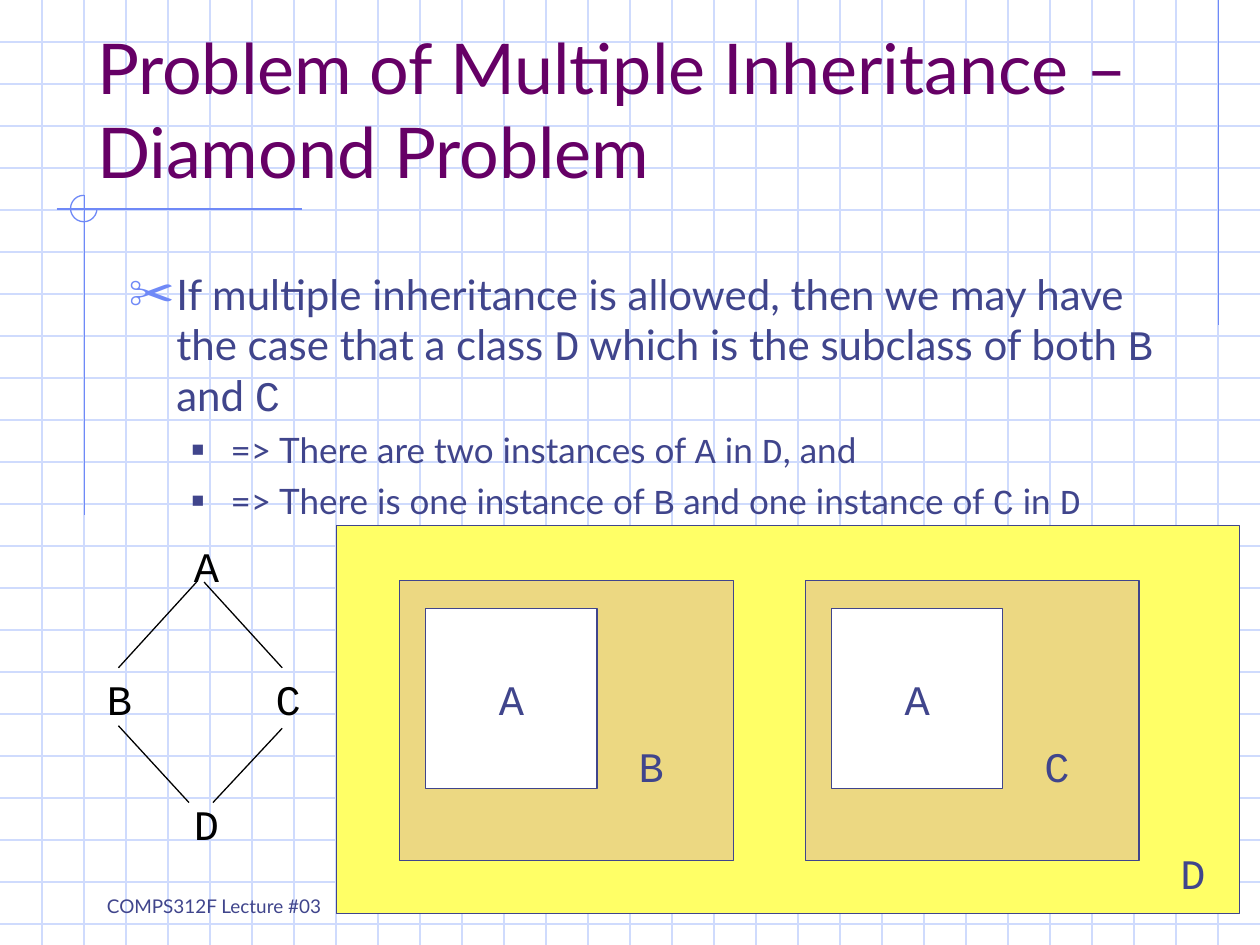
import dataclasses
import typing

import lxml.etree
import pptx
import pptx.dml.color
import pptx.enum.shapes
import pptx.enum.text
import pptx.oxml.ns
import pptx.util

Inches = pptx.util.Inches
Pt = pptx.util.Pt
ANCHOR = pptx.enum.text.MSO_ANCHOR
ALIGN = pptx.enum.text.PP_ALIGN
SHAPE = pptx.enum.shapes.MSO_SHAPE


@dataclasses.dataclass(frozen=True)
class Theme:
    grid: str = "CFDBFD"
    accent: str = "6F89F7"
    title: str = "660066"
    ink: str = "40458C"
    black: str = "000000"
    outer: str = "FFFF66"
    parent: str = "ECD882"
    inner: str = "FFFFFF"
    sans: str = "Lato"
    mono: str = "Courier New"
    title_size: float = 40
    body_size: float = 24
    sub_size: float = 20
    footer_size: float = 10.8
    line_width: float = 0.75


THEME = Theme()


class Box(typing.NamedTuple):
    left: float
    top: float
    width: float
    height: float

    def emu(self) -> list:
        return [Inches(v) for v in self]


class Line(typing.NamedTuple):
    x1: float
    y1: float
    x2: float
    y2: float


class Label(typing.NamedTuple):
    text: str
    left: float
    top: float


class Bullet(typing.NamedTuple):
    """A list paragraph; text between backticks is set in the mono font."""
    text: str
    level: int
    space_before: float


class Level(typing.NamedTuple):
    char: str
    color: str
    percent: int
    margin: float
    indent: float
    size: float


LEVELS = (
    Level("✂", THEME.accent, 110, 0.38, -0.38, THEME.body_size),
    Level("■", THEME.ink, 60, 0.81, -0.31, THEME.sub_size),
)
BULLETS = (
    Bullet("If multiple inheritance is allowed, then we may have the case that a class "
           "`D` which is the subclass of both `B` and `C`", 0, 0),
    Bullet("=> There are two instances of `A` in `D`, and", 1, 5),
    Bullet("=> There is one instance of `B` and one instance of `C` in `D`", 1, 5),
)
MARGIN_LINES = (
    Line(9.67, 0, 9.67, 2.58),
    Line(0.45, 1.66, 2.4, 1.66),
    Line(0.67, 1.55, 0.67, 4.09),
)
DIAMOND_LABELS = (
    Label("A", 1.44, 4.24), Label("B", 0.75, 5.3),
    Label("C", 2.09, 5.3), Label("D", 1.44, 6.29),
)
DIAMOND_LINES = (
    Line(0.94, 5.3, 1.56, 4.62), Line(1.62, 4.62, 2.24, 5.3),
    Line(0.94, 5.76, 1.5, 6.37), Line(2.24, 5.78, 1.69, 6.37),
)
PARENTS = (("B", 3.17), ("C", 6.39))


def apply(obj, **values) -> None:
    for name, value in values.items():
        setattr(obj, name, value)


def rgb(color: str) -> pptx.dml.color.RGBColor:
    return pptx.dml.color.RGBColor.from_string(color)


def set_line(line, color: str) -> None:
    line.color.rgb = rgb(color)
    line.width = Pt(THEME.line_width)


def add_run(p, text: str, font: str, size: float, color: str) -> None:
    r = p.add_run()
    r.text = text
    apply(r.font, name=font, size=Pt(size))
    r.font.color.rgb = rgb(color)


def add_line(s, line: Line, color: str) -> None:
    cx = s.shapes.add_connector(pptx.enum.shapes.MSO_CONNECTOR.STRAIGHT,
                                *[Inches(v) for v in line])
    set_line(cx.line, color)
    lxml.etree.SubElement(cx._element.spPr, pptx.oxml.ns.qn("a:effectLst"))


def add_rect(s, box: Box, fill: str):
    sp = s.shapes.add_shape(SHAPE.RECTANGLE, *box.emu())
    sp.shadow.inherit = False
    sp.fill.solid()
    sp.fill.fore_color.rgb = rgb(fill)
    set_line(sp.line, THEME.ink)
    return sp


def add_label(s, label: Label, color: str) -> None:
    tf = s.shapes.add_textbox(*Box(label.left, label.top, 0.4, 0.5).emu()).text_frame
    apply(tf, word_wrap=False, auto_size=pptx.enum.text.MSO_AUTO_SIZE.SHAPE_TO_FIT_TEXT)
    add_run(tf.paragraphs[0], label.text, THEME.mono, THEME.body_size, color)


def add_background(s) -> None:
    step = 1 / 3
    for i in range(1, 23):
        add_line(s, Line(0, i * step, 10, i * step), THEME.grid)
    for i in range(1, 30):
        add_line(s, Line(i * step, 0, i * step, 7.5), THEME.grid)
    for line in MARGIN_LINES:
        add_line(s, line, THEME.accent)
    arc = s.shapes.add_shape(SHAPE.ARC, *Box(0.56, 1.55, 0.21, 0.21).emu())
    arc.shadow.inherit = False
    arc.adjustments[0] = 0
    arc.adjustments[1] = 162  # 270 degrees in 60000ths, divided by 100000
    arc.fill.background()
    set_line(arc.line, THEME.accent)


def place(sp, box: Box, anchor):
    """Move a placeholder to its box, in front of the background."""
    sp._element.getparent().append(sp._element)
    apply(sp, **dict(zip(box._fields, box.emu())))
    tf = sp.text_frame
    apply(tf, word_wrap=True, vertical_anchor=anchor,
          auto_size=pptx.enum.text.MSO_AUTO_SIZE.NONE)
    return tf


def add_bullet(p, bullet: Bullet) -> None:
    level = LEVELS[bullet.level]
    qn = pptx.oxml.ns.qn
    pPr = p._p.get_or_add_pPr()
    pPr.set("marL", str(Inches(level.margin)))
    pPr.set("indent", str(Inches(level.indent)))
    color = lxml.etree.SubElement(pPr, qn("a:buClr"))
    lxml.etree.SubElement(color, qn("a:srgbClr"), val=level.color)
    lxml.etree.SubElement(pPr, qn("a:buSzPct"), val=str(level.percent * 1000))
    lxml.etree.SubElement(pPr, qn("a:buChar"), char=level.char)
    apply(p, level=bullet.level, space_before=Pt(bullet.space_before))
    for i, part in enumerate(bullet.text.split("`")):
        if part:
            add_run(p, part, THEME.mono if i % 2 else THEME.sans, level.size, THEME.ink)


def add_text(s) -> None:
    tf = place(s.shapes.title, Box(0.67, 0.33, 8.5, 1.25), ANCHOR.BOTTOM)
    p = tf.paragraphs[0]
    p.alignment = ALIGN.LEFT
    add_run(p, "Problem of Multiple Inheritance – Diamond Problem",
            THEME.sans, THEME.title_size, THEME.title)
    tf = place(s.placeholders[1], Box(0.92, 2.08, 8.5, 4.5), ANCHOR.TOP)
    for i, bullet in enumerate(BULLETS):
        add_bullet(tf.add_paragraph() if i else tf.paragraphs[0], bullet)
    tf = s.shapes.add_textbox(*Box(0.75, 6.83, 2.08, 0.5).emu()).text_frame
    apply(tf, word_wrap=True, vertical_anchor=ANCHOR.BOTTOM)
    add_run(tf.paragraphs[0], "COMPS312F Lecture #03",
            THEME.sans, THEME.footer_size, THEME.ink)


def add_diamond(s) -> None:
    for label in DIAMOND_LABELS:
        add_label(s, label, THEME.black)
    for line in DIAMOND_LINES:
        add_line(s, line, THEME.black)


def add_instances(s) -> None:
    """Draw object D holding B and C, each with its own A."""
    add_rect(s, Box(2.67, 4.17, 7.17, 3.08), THEME.outer)
    for name, left in PARENTS:
        add_rect(s, Box(left, 4.61, 2.65, 2.22), THEME.parent)
        tf = add_rect(s, Box(left + 0.21, 4.83, 1.36, 1.43), THEME.inner).text_frame
        apply(tf, word_wrap=False, vertical_anchor=ANCHOR.MIDDLE)
        p = tf.paragraphs[0]
        p.alignment = ALIGN.CENTER
        add_run(p, "A", THEME.mono, THEME.body_size, THEME.ink)
        add_label(s, Label(name, left + 1.8, 5.83), THEME.ink)
    add_label(s, Label("D", 9.27, 6.68), THEME.ink)


def main() -> None:
    prs = pptx.Presentation()
    apply(prs, slide_width=Inches(10), slide_height=Inches(7.5))
    s = prs.slides.add_slide(prs.slide_layouts[1])
    for draw in (add_background, add_text, add_diamond, add_instances):
        draw(s)
    prs.save("out.pptx")


if __name__ == "__main__":
    main()
